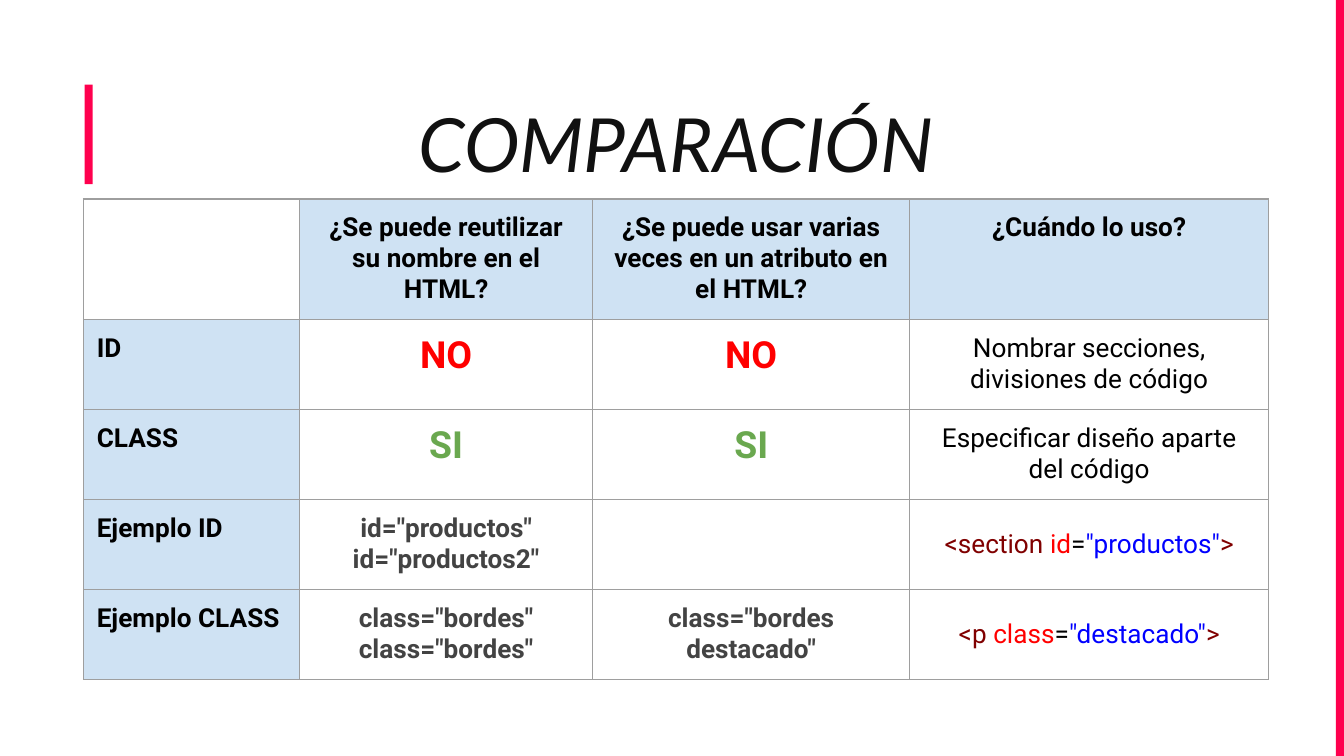
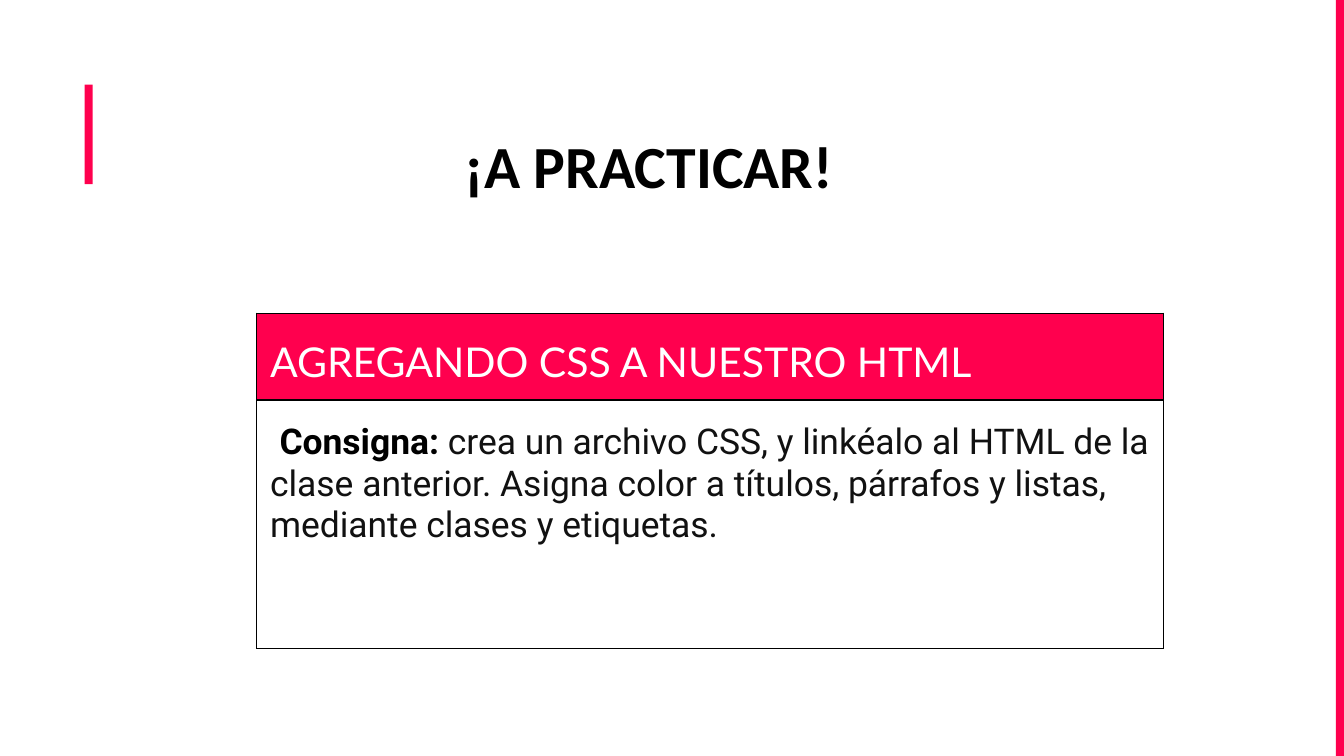
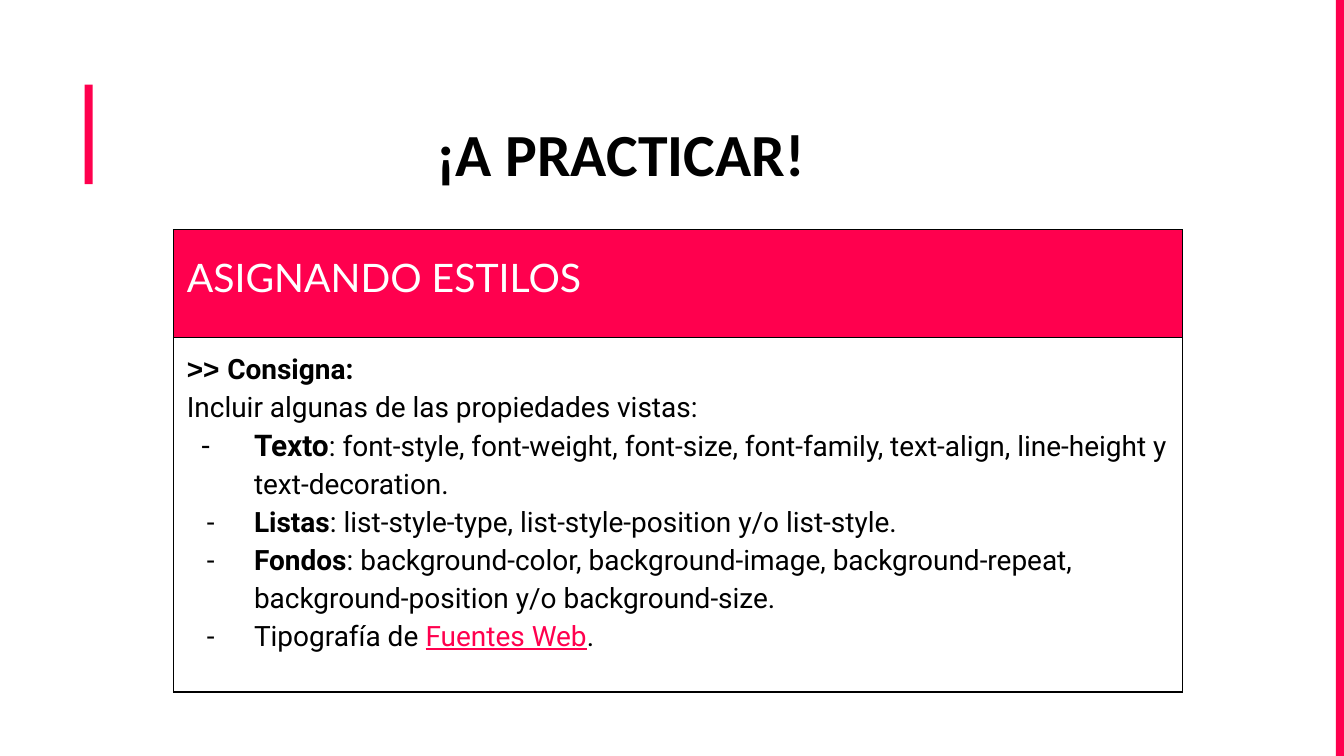
from dataclasses import dataclass

from lxml import etree
from pptx import Presentation
from pptx.dml.color import RGBColor
from pptx.enum.shapes import MSO_SHAPE
from pptx.enum.text import MSO_ANCHOR, MSO_AUTO_SIZE, PP_ALIGN
from pptx.oxml.ns import qn
from pptx.util import Inches, Pt

RECTANGLE = MSO_SHAPE.RECTANGLE
TOP = MSO_ANCHOR.TOP
NO_AUTOFIT = MSO_AUTO_SIZE.NONE
LEFT = PP_ALIGN.LEFT
CENTER = PP_ALIGN.CENTER
TITLE_ONLY = 5
SLIDE_WIDTH = 10
SLIDE_HEIGHT = SLIDE_WIDTH * 9 / 16


@dataclass(frozen=True)
class Theme:
    accent: str = "FF004E"
    white: str = "FFFFFF"
    black: str = "000000"
    ink: str = "111111"
    header: str = "CFE2F3"
    grid: str = "9E9E9E"
    red: str = "FF0000"
    green: str = "6AA84F"
    gray: str = "434343"
    maroon: str = "800000"
    blue: str = "0000FF"
    heading_font: str = "Lato"
    practice_font: str = "Calibri"
    body_font: str = "Roboto"
    marker_font: str = "Arial"
    heading_size: int = 40
    practice_size: int = 32
    cell_size: int = 14
    answer_size: int = 20
    linking_size: int = 22
    styling_size: int = 21
    task_size: int = 19
    list_size: int = 15
    term_size: int = 16
    border_width: float = 0.75
    inset: float = 0.1


THEME = Theme()


def text_format(size, color=THEME.black, bold=False, name=THEME.body_font, **extra):
    return {"size": size, "color": color, "bold": bold, "name": name, **extra}


CELL = text_format(THEME.cell_size)
STRONG = text_format(THEME.cell_size, bold=True)
SAMPLE = text_format(THEME.cell_size, THEME.gray, True)
NO = ("NO", text_format(THEME.answer_size, THEME.red, True))
YES = ("SI", text_format(THEME.answer_size, THEME.green, True))
HEADING = text_format(THEME.heading_size, THEME.ink, name=THEME.heading_font, italic=True)
PRACTICE = text_format(THEME.practice_size, bold=True, name=THEME.practice_font)
LIST = text_format(THEME.list_size)
LIST_STRONG = text_format(THEME.list_size, bold=True)


def format_font(font, values):
    for name, value in values.items():
        if name == "color":
            font.color.rgb = RGBColor.from_string(value)
        else:
            setattr(font, name, Pt(value) if name == "size" else value)


def write_paragraphs(frame, paragraphs):
    for index, (runs, values) in enumerate(paragraphs):
        paragraph = frame.paragraphs[0] if index == 0 else frame.add_paragraph()
        for name, value in values.items():
            if name == "bullet":
                add_bullet(paragraph, value)
            elif name == "indent":
                paragraph._p.get_or_add_pPr().set("indent", str(Inches(value)))
            else:
                setattr(paragraph, name, value)
        for text, font_values in runs:
            run = paragraph.add_run()
            run.text = text
            format_font(run.font, font_values)


def add_bullet(paragraph, hanging):
    properties = paragraph._p.get_or_add_pPr()
    properties.set("marL", str(Inches(0.5)))
    properties.set("indent", str(Inches(-hanging)))
    color = etree.SubElement(properties, qn("a:buClr"))
    etree.SubElement(color, qn("a:srgbClr"), val=THEME.black)
    etree.SubElement(properties, qn("a:buFont"), typeface=THEME.body_font)
    etree.SubElement(properties, qn("a:buChar"), char="-")


def set_margins(target, top=THEME.inset):
    for side in ("left", "right", "bottom"):
        setattr(target, f"margin_{side}", Inches(THEME.inset))
    target.margin_top = Inches(top)


def add_bar(slide, left, top, width, height):
    bar = slide.shapes.add_shape(RECTANGLE, *map(Inches, (left, top, width, height)))
    bar.shadow.inherit = False
    bar.fill.solid()
    bar.fill.fore_color.rgb = RGBColor.from_string(THEME.accent)
    bar.line.fill.background()


def add_slide(presentation, title_text, title_box, title_format, line_spacing=1.0):
    slide = presentation.slides.add_slide(presentation.slide_layouts[TITLE_ONLY])
    add_bar(slide, 0.63, 0.63, 0.06, 0.74)
    add_bar(slide, 9.94, 0, 0.06, SLIDE_HEIGHT)
    title = slide.shapes.title
    for name, value in zip(("left", "top", "width", "height"), title_box):
        setattr(title, name, Inches(value))
    frame = title.text_frame
    frame.word_wrap = True
    frame.auto_size = NO_AUTOFIT
    frame.vertical_anchor = TOP
    set_margins(frame)
    paragraph_format = {"alignment": CENTER, "line_spacing": line_spacing}
    write_paragraphs(frame, [([(title_text, title_format)], paragraph_format)])
    return slide


def add_table(slide, left, top, columns, rows):
    table = slide.shapes.add_table(
        len(rows), len(columns), Inches(left), Inches(top),
        Inches(sum(columns)), Inches(sum(rows)),
    ).table
    table.first_row = False
    table.horz_banding = False
    for column, width in zip(table.columns, columns):
        column.width = Inches(width)
    for row, height in zip(table.rows, rows):
        row.height = Inches(height)
    return table


def style_cell(cell, fill, border, top=THEME.inset):
    properties = cell._tc.get_or_add_tcPr()
    for side in ("lnL", "lnR", "lnT", "lnB"):
        line = etree.SubElement(properties, qn(f"a:{side}"), w=str(Pt(THEME.border_width)))
        solid = etree.SubElement(line, qn("a:solidFill"))
        etree.SubElement(solid, qn("a:srgbClr"), val=border)
    cell.fill.solid()
    cell.fill.fore_color.rgb = RGBColor.from_string(fill)
    cell.vertical_anchor = TOP
    set_margins(cell, top)


def centered(*lines):
    return [([line], {"alignment": CENTER}) for line in lines]


def label(text):
    return [([(text, STRONG)], {"alignment": LEFT})]


def samples(*lines):
    return centered(*((line, SAMPLE) for line in lines))


def tag_code(tag, attribute, value):
    parts = (
        (f"<{tag}", THEME.maroon), (" ", THEME.black), (attribute, THEME.red),
        ("=", THEME.black), (f'"{value}"', THEME.blue), (">", THEME.maroon),
    )
    runs = [(text, text_format(THEME.cell_size, color)) for text, color in parts]
    return [(runs, {"alignment": CENTER, "line_spacing": 1.5})]


def add_comparison(slide):
    questions = (
        "¿Se puede reutilizar su nombre en el HTML?",
        "¿Se puede usar varias veces en un atributo en el HTML?",
        "¿Cuándo lo uso?",
    )
    contents = [
        [[], *(centered((question, STRONG)) for question in questions)],
        [label("ID"), centered(NO), centered(NO),
         centered(("Nombrar secciones, divisiones de código", CELL))],
        [label("CLASS"), centered(YES), centered(YES),
         centered(("Especificar diseño aparte del código", CELL))],
        [label("Ejemplo ID"), samples('id="productos"', 'id="productos2"'), [],
         tag_code("section", "id", "productos")],
        [label("Ejemplo CLASS"), samples('class="bordes"', 'class="bordes"'),
         samples('class="bordes destacado"'), tag_code("p", "class", "destacado")],
    ]
    table = add_table(slide, 0.62, 1.48, (1.61, 2.18, 2.36, 2.67), (0.9, *[0.67] * 4))
    for row, row_contents in enumerate(contents):
        for column, paragraphs in enumerate(row_contents):
            cell = table.cell(row, column)
            is_header = (row == 0) != (column == 0)
            style_cell(cell, THEME.header if is_header else THEME.white, THEME.grid)
            write_paragraphs(cell.text_frame, paragraphs)


def add_task(slide, position, columns, rows, heading, heading_size, paragraphs, body_top):
    table = add_table(slide, *position, columns, rows)
    heading_format = text_format(heading_size, THEME.white, name=THEME.heading_font)
    bands = (
        (THEME.accent, 0.18, [([(heading, heading_format)], {})]),
        (THEME.white, body_top, paragraphs),
    )
    for row, (fill, top, content) in enumerate(bands):
        for column in range(len(columns)):
            style_cell(table.cell(row, column), fill, THEME.black, top)
        first = table.cell(row, 0)
        first.merge(table.cell(row, len(columns) - 1))
        write_paragraphs(first.text_frame, content)


def list_item(*runs, hanging=0.35):
    return list(runs), {"line_spacing": 1.15, "bullet": hanging}


def main():
    presentation = Presentation()
    presentation.slide_width = Inches(SLIDE_WIDTH)
    presentation.slide_height = Inches(SLIDE_HEIGHT)

    comparison = add_slide(presentation, "COMPARACIÓN", (1.62, 0.53, 6.82, 0.76), HEADING, 1.15)
    add_comparison(comparison)

    practice_title = "¡A PRACTICAR!"
    linking = add_slide(presentation, practice_title, (3.19, 0.86, 3.28, 0.74), PRACTICE)
    assignment = [
        ("Consigna: ", text_format(THEME.task_size, bold=True)),
        ("crea un archivo CSS, y linkéalo al HTML de la clase anterior. "
         "Asigna color a títulos, párrafos y listas, mediante clases y etiquetas.",
         text_format(THEME.task_size, THEME.ink)),
    ]
    add_task(
        linking, (1.91, 2.33), (2.14, 2.99, 1.62), (0.56, 1.85),
        "AGREGANDO CSS A NUESTRO HTML", THEME.linking_size,
        [(assignment, {"indent": 0.07})], 0.16,
    )

    styling = add_slide(presentation, practice_title, (2.98, 0.77, 3.28, 0.74), PRACTICE)
    marker = text_format(THEME.list_size, bold=True, name=THEME.marker_font)
    link = text_format(THEME.list_size, THEME.accent, underline=True)
    properties = [
        ([(">> ", marker), ("Consigna:", LIST_STRONG)], {}),
        ([("Incluir algunas de las propiedades vistas:", LIST)], {"line_spacing": 1.15}),
        list_item(
            ("Texto", text_format(THEME.term_size, bold=True)),
            (": font-style, font-weight, font-size, font-family, text-align, "
             "line-height y text-decoration.", LIST),
            hanging=0.39,
        ),
        list_item(
            ("Listas", LIST_STRONG),
            (": list-style-type, list-style-position y/o list-style.", LIST),
        ),
        list_item(
            ("Fondos", LIST_STRONG),
            (": background-color, background-image, background-repeat, "
             "background-position y/o background-size.", LIST),
        ),
        list_item(("Tipografía de ", LIST), ("Fuentes Web", link), (".", LIST)),
    ]
    add_task(
        styling, (1.29, 1.71), (2.5, 3.25, 1.76), (0.8, 2.64),
        "ASIGNANDO ESTILOS", THEME.styling_size, properties, 0.12,
    )

    presentation.save("out.pptx")


if __name__ == "__main__":
    main()
